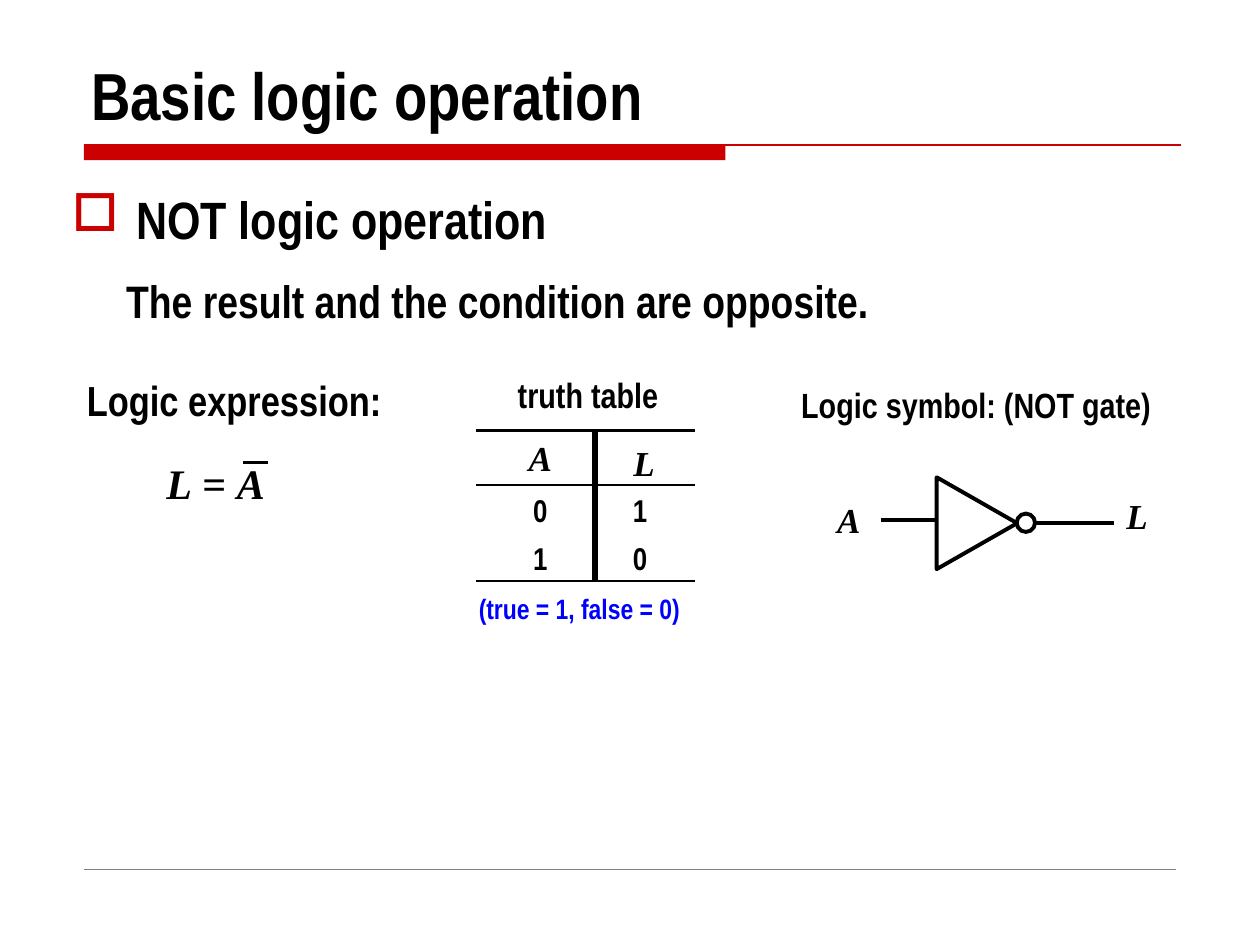
from lxml.etree import SubElement as Sub
from pptx import Presentation
from pptx.dml.color import RGBColor
from pptx.enum.shapes import MSO_CONNECTOR as Conn, MSO_SHAPE as Kind
from pptx.enum.text import MSO_ANCHOR as Anchor, PP_ALIGN as Align
from pptx.oxml.ns import qn
from pptx.util import Pt

SANS, SERIF = "Arial Narrow", "Times New Roman"
BLACK, RED, BLUE, GRAY, WHITE = "000000", "CC0000", "0000FF", "808080", "FFFFFF"


def tint(color):
    return RGBColor.from_string(color)


def style(run, size, face=SANS, color=BLACK):
    font = run.font
    font.size, font.name, font.bold = Pt(size), face, True
    font.italic = face == SERIF
    font.color.rgb = tint(color)


def write(slide, box, text, size, face=SANS, color=BLACK, space=None, pad=True,
          align=Align.LEFT, anchor=Anchor.TOP):
    frame = slide.shapes.add_textbox(*map(Pt, box)).text_frame
    frame.word_wrap = True
    frame.vertical_anchor = anchor
    if not pad:
        frame.margin_left = frame.margin_right = 0
        frame.margin_top = frame.margin_bottom = 0
    para = frame.paragraphs[0]
    para.text = text
    para.alignment = align
    para.line_spacing = space
    style(para.runs[0], size, face, color)
    return para


def rule(slide, start, end, width, color=BLACK):
    line = slide.shapes.add_connector(Conn.STRAIGHT, *map(Pt, (*start, *end)))
    line.line.width = Pt(width)
    line.line.color.rgb = tint(color)
    Sub(line._element.spPr, qn("a:effectLst"))


def shape(slide, kind, box, fill=None, line=None, width=2.25):
    item = slide.shapes.add_shape(kind, *map(Pt, box))
    item.shadow.inherit = False
    if fill:
        item.fill.solid()
        item.fill.fore_color.rgb = tint(fill)
    else:
        item.fill.background()
    if line:
        item.line.color.rgb = tint(line)
        item.line.width = Pt(width)
    else:
        item.line.fill.background()
    return item


def header(slide, x, y, w, h):
    write(slide, (x, y, w, h), "Basic logic operation", 38, anchor=Anchor.BOTTOM)
    left, top = x + 3, y + h + 2.75
    shape(slide, Kind.RECTANGLE, (left, top - 0.25, 366.5, 9), RED)
    rule(slide, (left, top), (left + 626.75, top), 1, RED)


def intro(slide, x, y, w):
    para = write(slide, (x, y, w, 43), "NOT logic operation", 30)
    props = para._p.get_or_add_pPr()
    props.set("marL", str(Pt(36.75)))
    props.set("indent", str(-Pt(36.75)))
    Sub(Sub(props, qn("a:buClr")), qn("a:srgbClr")).set("val", RED)
    face = Sub(props, qn("a:buFont"))
    face.set("typeface", "Wingdings")
    face.set("charset", "2")
    Sub(props, qn("a:buChar")).set("char", "o")
    write(slide, (x + 31, y + 42.75, w, 45),
          "The result and the condition are opposite.", 26, space=1.2)


def formula(slide, x, y, w):
    write(slide, (x, y, w, 42), "Logic expression:", 24, space=1.2)
    para = write(slide, (x + 45.5, y + 53.5, w - 45, 36), "L", 24, SERIF)
    for text in (" = ", "A"):
        run = para.add_run()
        run.text = text
        style(run, 24, SERIF)
        run.font.italic = text == "A"
    rule(slide, (x + 96.25, y + 59.75), (x + 110.75, y + 59.75), 1.5)


def truth(slide, x, y, w):
    write(slide, (x + 9, y, w - 15, 21.5), "truth table", 20,
          space=0.9, pad=False, align=Align.CENTER)
    rows = ("A", "L"), ("0", "1"), ("1", "0")
    top, mid, end, split = y + 30, y + 61.25, y + 116, x + 68
    grid = slide.shapes.add_table(3, 2, Pt(x), Pt(top), Pt(w), Pt(end - top)).table
    grid.first_row = grid.horz_banding = False
    for col, width in zip(grid.columns, (68, w - 68)):
        col.width = Pt(width)
    for row, height in zip(grid.rows, (31, 27.5, 27.5)):
        row.height = Pt(height)
    for r, row in enumerate(rows):
        for c, text in enumerate(row):
            cell = grid.cell(r, c)
            cell.fill.background()
            cell.margin_bottom = 0
            cell.margin_top = Pt(5 if r else (2, 7.5)[c])
            cell.margin_left = Pt((5.5, 0)[c])
            cell.margin_right = Pt(5.5 if r and c else c)
            cell.vertical_anchor = Anchor.MIDDLE
            para = cell.text_frame.paragraphs[0]
            para.text = text
            para.alignment = Align.CENTER
            style(para.runs[0], 18 if r else 20, SANS if r else SERIF)
    for level in (top, mid, end):
        rule(slide, (x, level), (x + w, level), 1.5)
    rule(slide, (split, top), (split, end), 3)
    write(slide, (x - 5.5, y + 114.5, w + 12, 30), "(true = 1, false = 0)", 16,
          color=BLUE, space=1.2)


def gate(slide, x, y, w):
    write(slide, (x, y, w, 36), "Logic symbol: (NOT gate)", 20, space=1.2)
    for text, left, top in (("A", 22.5, 76.75), ("L", 187.25, 74.75)):
        write(slide, (x + left, y + top, 23.5, 21.5), text, 20, SERIF,
              space=0.9, pad=False, align=Align.CENTER)
    rule(slide, (x + 139, y + 88.25), (x + 185.75, y + 88.25), 2.25)
    rule(slide, (x + 52.5, y + 86.5), (x + 83.5, y + 86.5), 2.25)
    body = shape(slide, Kind.ISOSCELES_TRIANGLE, (x + 81.25, y + 65.25, 52.5, 46),
                 line=BLACK)
    body.rotation = 90
    shape(slide, Kind.OVAL, (x + 130.25, y + 82.75, 10.5, 10.5), WHITE, BLACK)


def main():
    deck = Presentation()
    deck.slide_width, deck.slide_height = Pt(720), Pt(540)
    slide = deck.slides.add_slide(deck.slide_layouts[6])
    header(slide, 45, 20, 630, 60)
    rule(slide, (48.25, 496.75), (672, 496.75), 0.25, GRAY)
    intro(slide, 34, 103.5, 630)
    formula(slide, 42.5, 204.5, 215)
    truth(slide, 272, 216, 125)
    gate(slide, 450.75, 210.75, 250)
    deck.save("out.pptx")


if __name__ == "__main__":
    main()
